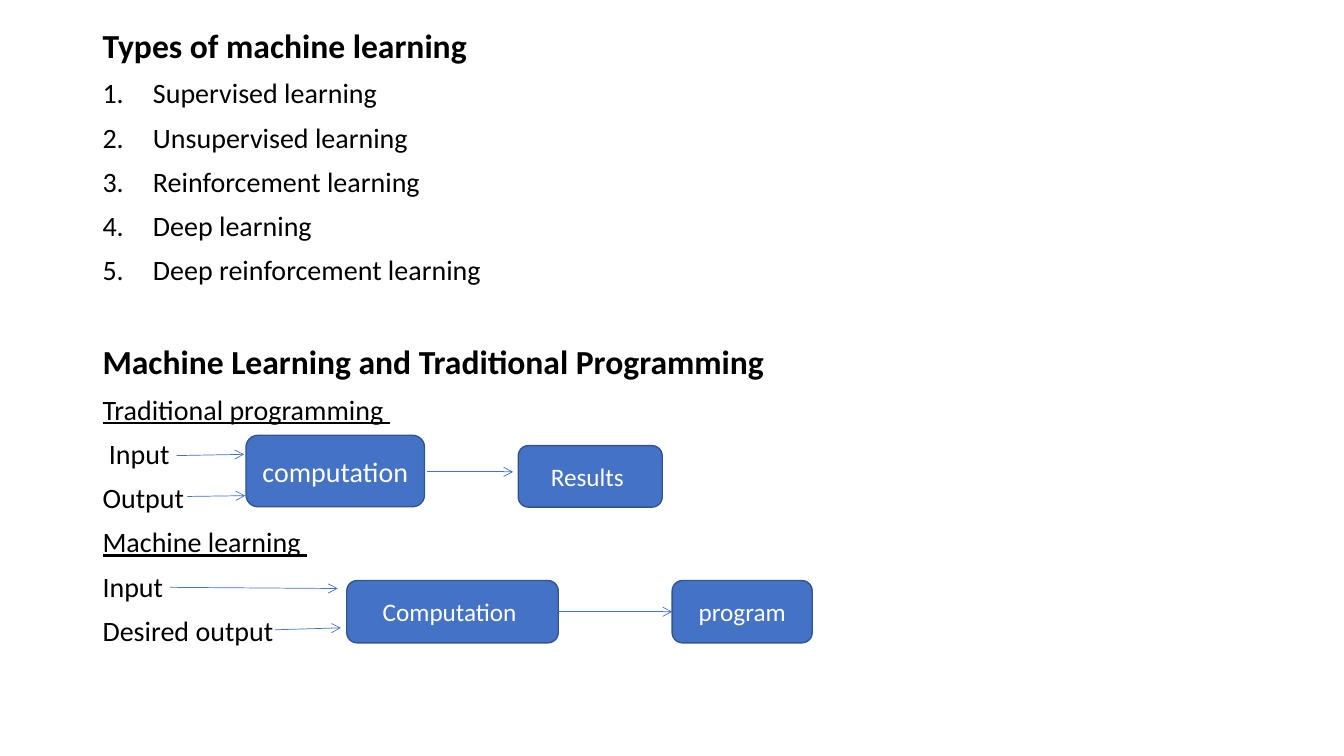
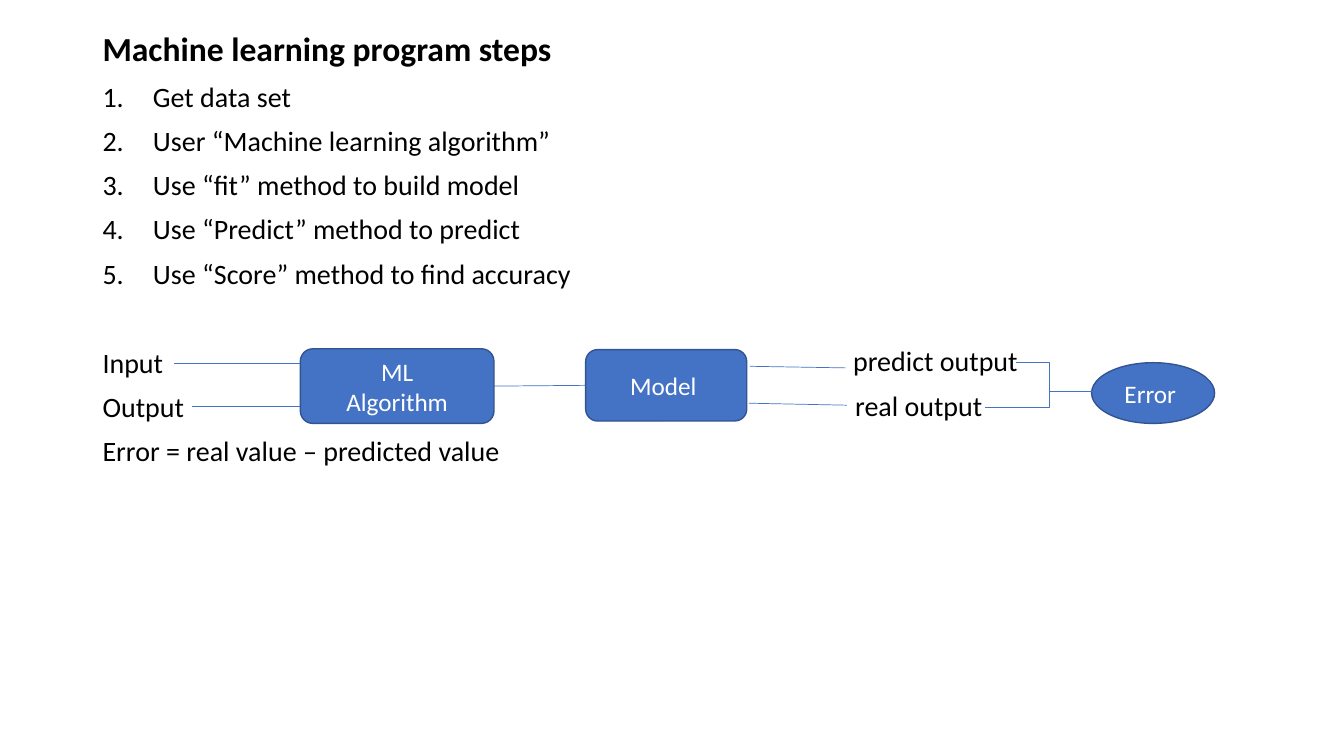
from dataclasses import dataclass

from lxml.etree import SubElement
from pptx import Presentation
from pptx.dml.color import RGBColor
from pptx.enum.shapes import MSO_CONNECTOR, MSO_SHAPE
from pptx.enum.text import MSO_ANCHOR, MSO_AUTO_SIZE, PP_ALIGN
from pptx.oxml.ns import qn
from pptx.util import Cm, Pt

COLOURS = {"text": "000000", "fill": "4472C4", "outline": "325491", "light": "FFFFFF"}
FONT = "Calibri"
LEFT, WIDTH = 2.33, 29.21
TITLE_HEIGHT, BODY_OFFSET, BODY_HEIGHT = 1.2, 1.27, 15.2
LABEL_WIDTH, LABEL_HEIGHT = 5, 1.03
NUMBER_INDENT = 1.27
SECTION_GAP = 42


@dataclass(frozen=True)
class Line:
    text: str
    size: int = 20
    bold: bool = False
    underline: bool = False
    numbered: bool = False
    before: int = 10
    indent: float = 0


@dataclass(frozen=True)
class Node:
    lines: tuple[str, ...]
    left: float
    top: float
    width: float
    height: float
    size: int = 18
    shape: MSO_SHAPE = MSO_SHAPE.ROUNDED_RECTANGLE


@dataclass(frozen=True)
class Link:
    start: tuple[float, float]
    end: tuple[float, float]
    kind: MSO_CONNECTOR = MSO_CONNECTOR.STRAIGHT


@dataclass(frozen=True)
class Label:
    text: str
    left: float
    top: float


@dataclass(frozen=True)
class Page:
    title: str
    top: float
    lines: tuple[Line, ...]
    nodes: tuple[Node, ...]
    links: tuple[Link, ...]
    joined: tuple[int, int]
    arrows: bool = False
    labels: tuple[Label, ...] = ()


def numbered(*texts: str) -> tuple[Line, ...]:
    return tuple(Line(text, numbered=True) for text in texts)


PAGES = (
    Page(
        "Types of machine learning",
        0.61,
        numbered(
            "Supervised learning",
            "Unsupervised learning",
            "Reinforcement learning",
            "Deep learning",
            "Deep reinforcement learning",
        )
        + (
            Line("Machine Learning and Traditional Programming", 24, bold=True, before=SECTION_GAP),
            Line("Traditional programming ", underline=True),
            Line("Input", indent=0.16),
            Line("Output"),
            Line("Machine learning ", underline=True),
            Line("Input"),
            Line("Desired output"),
        ),
        (
            Node(("computation",), 6.2, 10.97, 4.5, 1.8, 20),
            Node(("Results ",), 13.06, 11.23, 3.63, 1.55),
            Node(("Computation ",), 8.74, 14.63, 5.33, 1.57),
            Node(("program",), 16.94, 14.63, 3.53, 1.57),
        ),
        (
            Link((4.45, 11.48), (6.15, 11.45)),
            Link((4.72, 12.51), (6.18, 12.49)),
            Link((10.77, 11.89), (12.93, 11.89)),
            Link((4.29, 14.8), (8.51, 14.83)),
            Link((6.93, 15.87), (8.59, 15.82)),
        ),
        (2, 3),
        arrows=True,
    ),
    Page(
        "Machine learning program steps",
        0.69,
        numbered(
            "Get data set",
            "User “Machine learning algorithm”",
            "Use “fit” method to build model",
            "Use “Predict” method to predict",
            "Use “Score” method to find accuracy",
        )
        + (
            Line("Input", before=SECTION_GAP),
            Line("Output"),
            Line("Error = real value – predicted value"),
        ),
        (
            Node(("ML", "Algorithm"), 7.57, 8.79, 4.88, 1.88),
            Node(("Model ",), 14.76, 8.81, 4.06, 1.8),
            Node(("Error ",), 27.51, 9.14, 3.1, 1.53, shape=MSO_SHAPE.OVAL),
        ),
        (
            Link((4.39, 9.15), (7.57, 9.15)),
            Link((4.85, 10.24), (7.57, 10.24)),
            Link((18.9, 9.23), (21.31, 9.27)),
            Link((18.87, 10.16), (21.34, 10.21)),
            Link((25.6, 9.13), (27.28, 9.87), MSO_CONNECTOR.ELBOW),
            Link((24.82, 10.27), (28.09, 9.87), MSO_CONNECTOR.ELBOW),
        ),
        (0, 1),
        labels=(
            Label("predict output", 21.25, 8.63),
            Label("real output", 21.3, 9.75),
        ),
    ),
)


def colour(name: str) -> RGBColor:
    return RGBColor.from_string(COLOURS[name])


def add_span(para, text: str, size: int, shade: str, bold=False, underline=False) -> None:
    span = para.add_run()
    span.text = text
    font = span.font
    font.name, font.size = FONT, Pt(size)
    font.bold, font.underline = bold, underline
    font.color.rgb = colour(shade)


def prepare(box, top: float, height: float):
    box.left, box.top, box.width, box.height = Cm(LEFT), Cm(top), Cm(WIDTH), Cm(height)
    frame = box.text_frame
    frame.word_wrap = True
    frame.auto_size = MSO_AUTO_SIZE.NONE
    frame.vertical_anchor = MSO_ANCHOR.TOP
    return frame


def paragraphs(frame, count: int) -> list:
    return [frame.paragraphs[0]] + [frame.add_paragraph() for _ in range(count - 1)]


def write_line(para, line: Line) -> None:
    para.alignment = PP_ALIGN.LEFT
    para.line_spacing = 0.9
    para.space_before, para.space_after = Pt(line.before), Pt(0)
    properties = para._p.get_or_add_pPr()
    hanging = NUMBER_INDENT if line.numbered else 0
    properties.set("marL", str(Cm(hanging + line.indent)))
    properties.set("indent", str(Cm(-hanging)))
    if line.numbered:
        SubElement(properties, qn("a:buFont"), typeface="+mj-lt")
        SubElement(properties, qn("a:buAutoNum"), type="arabicPeriod")
    else:
        SubElement(properties, qn("a:buNone"))
    add_span(para, line.text, line.size, "text", line.bold, line.underline)


def write_lines(frame, lines: tuple[Line, ...]) -> None:
    for para, line in zip(paragraphs(frame, len(lines)), lines):
        write_line(para, line)


def add_label(slide, label: Label) -> None:
    box = slide.shapes.add_textbox(
        Cm(label.left), Cm(label.top), Cm(LABEL_WIDTH), Cm(LABEL_HEIGHT)
    )
    frame = box.text_frame
    frame.word_wrap = True
    frame.vertical_anchor = MSO_ANCHOR.MIDDLE
    write_lines(frame, (Line(label.text, before=0),))


def add_node(slide, node: Node):
    box = slide.shapes.add_shape(
        node.shape, Cm(node.left), Cm(node.top), Cm(node.width), Cm(node.height)
    )
    box.shadow.inherit = False
    box.fill.solid()
    box.fill.fore_color.rgb = colour("fill")
    box.line.color.rgb = colour("outline")
    box.line.width = Pt(1)
    frame = box.text_frame
    frame.word_wrap = True
    frame.vertical_anchor = MSO_ANCHOR.MIDDLE
    for para, text in zip(paragraphs(frame, len(node.lines)), node.lines):
        para.alignment = PP_ALIGN.CENTER
        add_span(para, text, node.size, "light")
    return box


def add_link(slide, link: Link, arrow: bool):
    connector = slide.shapes.add_connector(
        link.kind, *(Cm(value) for value in link.start + link.end)
    )
    connector.line.color.rgb = colour("fill")
    connector.line.width = Pt(0.5)
    if arrow:
        SubElement(connector.line._get_or_add_ln(), qn("a:tailEnd"), type="arrow")
    SubElement(connector._element.spPr, qn("a:effectLst"))
    return connector


def add_page(deck, page: Page) -> None:
    slide = deck.slides.add_slide(deck.slide_layouts[1])
    title = prepare(slide.shapes.title, page.top, TITLE_HEIGHT)
    write_lines(title, (Line(page.title, 24, bold=True),))
    body = prepare(slide.placeholders[1], page.top + BODY_OFFSET, BODY_HEIGHT)
    write_lines(body, page.lines)
    for label in page.labels:
        add_label(slide, label)
    boxes = [add_node(slide, node) for node in page.nodes]
    for link in page.links:
        add_link(slide, link, page.arrows)
    connector = add_link(slide, Link((0, 0), (1, 1)), page.arrows)
    source, target = (boxes[index] for index in page.joined)
    connector.begin_connect(source, 3)
    connector.end_connect(target, 1)


def main() -> None:
    deck = Presentation()
    deck.slide_width, deck.slide_height = Cm(33.87), Cm(19.05)
    for page in PAGES:
        add_page(deck, page)
    deck.save("out.pptx")


if __name__ == "__main__":
    main()
